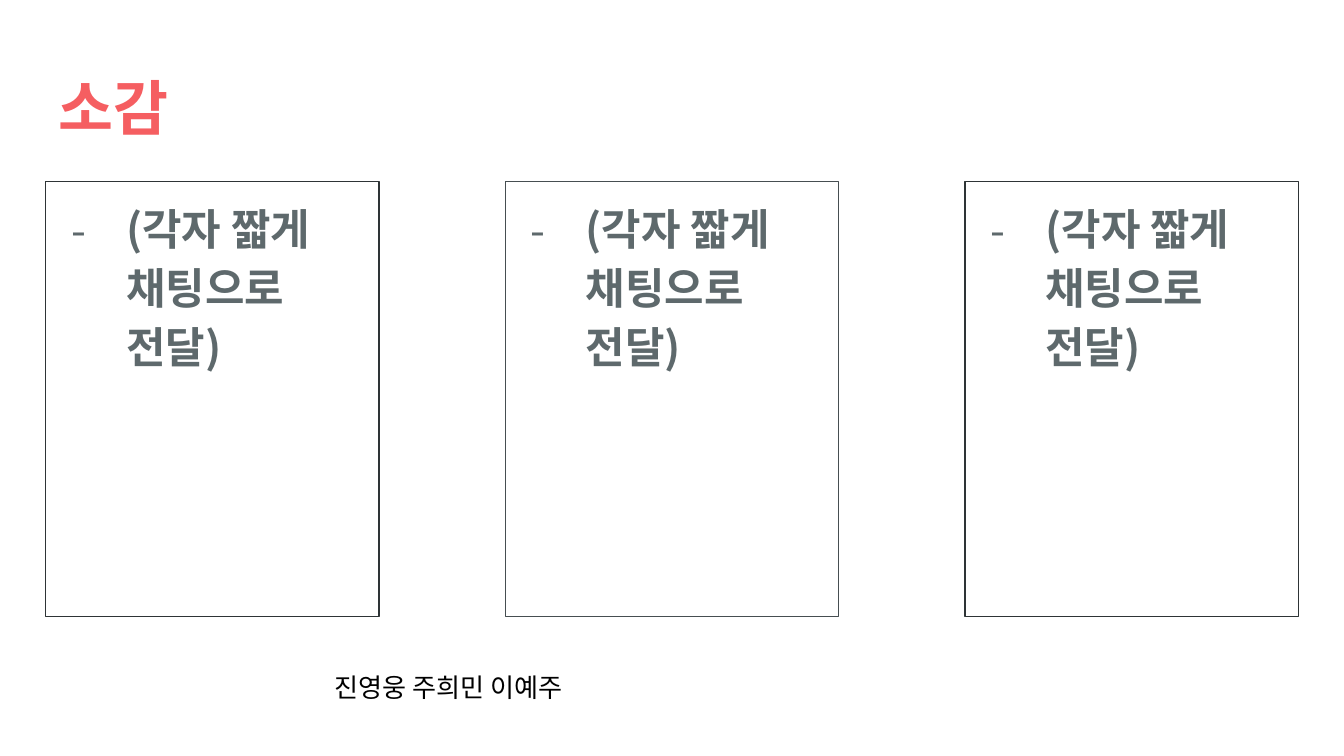
from lxml.etree import SubElement
from pptx import Presentation
from pptx.dml.color import RGBColor
from pptx.enum.shapes import MSO_SHAPE as Shape
from pptx.enum.text import MSO_ANCHOR as Anchor, PP_ALIGN as Align
from pptx.oxml.ns import qn
from pptx.util import Inches, Pt

FONT = "Noto Sans CJK KR"
CORAL = RGBColor(0xF5, 0x5E, 0x61)
SLATE = RGBColor(0x5E, 0x69, 0x6C)
BLACK = RGBColor(0, 0, 0)
DARK_LINE = RGBColor(0x2E, 0x34, 0x36)
GRAY_LINE = RGBColor(0x46, 0x4E, 0x51)

CARD_LEFT, CARD_STEP = 0.34, 3.42
CARD_LINES = [DARK_LINE, GRAY_LINE, DARK_LINE]


def add_dash(para, color):
    """Give the paragraph a hanging dash bullet."""
    props = para._p.get_or_add_pPr()
    props.set("marL", str(Inches(0.5)))
    props.set("indent", str(Inches(-0.41)))
    bullet_color = SubElement(props, qn("a:buClr"))
    SubElement(bullet_color, qn("a:srgbClr"), val=str(color))
    SubElement(props, qn("a:buFont"), typeface=FONT)
    SubElement(props, qn("a:buChar"), char="-")


def write_text(box, text, size, color, bold=False, align=Align.LEFT,
               anchor=Anchor.TOP, inset=0.1, spacing=None, dash=False):
    frame = box.text_frame
    frame.word_wrap = True
    frame.vertical_anchor = anchor
    frame.margin_left = frame.margin_right = Inches(0.1)
    frame.margin_top = frame.margin_bottom = Inches(inset)
    para = frame.paragraphs[0]
    if dash:
        add_dash(para, color)
    para.alignment = align
    if spacing:
        para.line_spacing = spacing
    span = para.add_run()
    span.text = text
    font = span.font
    font.name, font.size, font.bold = FONT, Pt(size), bold
    font.color.rgb = color
    SubElement(span._r.get_or_add_rPr(), qn("a:ea"), typeface=FONT)


def add_label(page, left, top, width, height, text, **style):
    box = page.shapes.add_textbox(Inches(left), Inches(top),
                                  Inches(width), Inches(height))
    write_text(box, text, **style)


def add_card(page, left, line_color, text):
    card = page.shapes.add_shape(Shape.RECTANGLE, Inches(left), Inches(1.35),
                                 Inches(2.48), Inches(3.24))
    card.shadow.inherit = False
    card.fill.background()
    card.line.color.rgb = line_color
    card.line.width = Pt(0.75)
    write_text(card, text, size=23, color=SLATE, bold=True,
               spacing=1.15, dash=True)


def main():
    deck = Presentation()
    deck.slide_width = Inches(10)
    deck.slide_height = deck.slide_width * 9 // 16
    page = deck.slides.add_slide(deck.slide_layouts[6])

    add_label(page, 0.34, 0.45, 9.32, 0.68, "소감",
              size=32, color=CORAL, bold=True, anchor=Anchor.MIDDLE)
    for column, line_color in enumerate(CARD_LINES):
        add_card(page, CARD_LEFT + column * CARD_STEP, line_color,
                 "(각자 짧게 채팅으로 전달)")
    add_label(page, 0.84, 4.94, 5, 0.34, "진영웅 주희민 이예주",
              size=14, color=BLACK, align=Align.CENTER,
              anchor=Anchor.MIDDLE, inset=0.05)

    deck.save("out.pptx")


if __name__ == "__main__":
    main()
